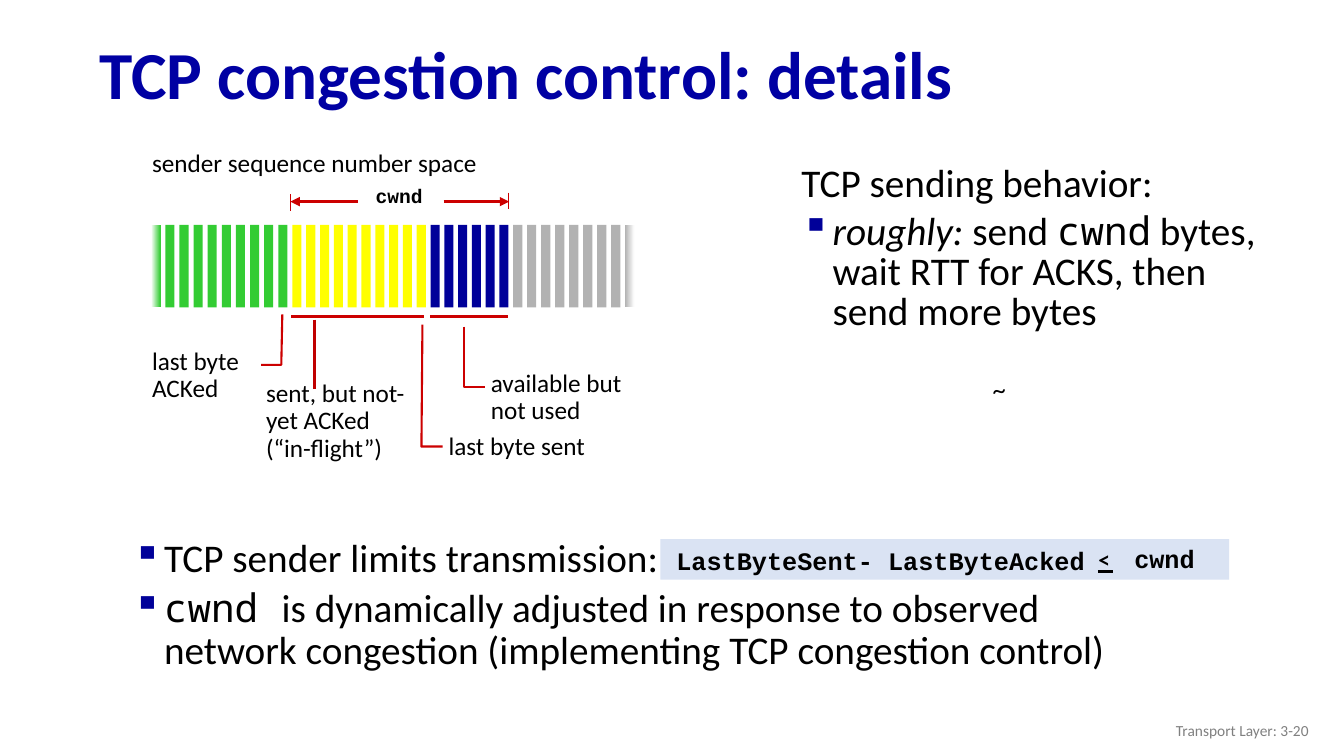
from lxml import etree
from pptx import Presentation
from pptx import util as u
from pptx.dml.color import RGBColor
from pptx.enum import shapes, text
from pptx.oxml.ns import qn

TITLE_BLUE = RGBColor(0x00, 0x00, 0xA3)
NAVY = RGBColor(0x00, 0x00, 0x99)
GREEN = RGBColor(0x33, 0xCC, 0x33)
YELLOW = RGBColor(0xFF, 0xFF, 0x00)
SILVER = RGBColor(0xB2, 0xB2, 0xB2)
PALE_BLUE = RGBColor(0xDA, 0xE3, 0xF3)
RED = RGBColor(0xCC, 0x00, 0x00)
DARK_RED = RGBColor(0xC0, 0x00, 0x00)
GRAY = RGBColor(0x80, 0x80, 0x80)
BLACK = RGBColor(0, 0, 0)
WHITE = RGBColor(0xFF, 0xFF, 0xFF)

SANS, CODE, MONO, LATO = "Calibri", "Courier New", "Noto Sans Mono", "Lato"
LEFT, CENTER, RIGHT = text.PP_ALIGN.LEFT, text.PP_ALIGN.CENTER, text.PP_ALIGN.RIGHT
MIDDLE = text.MSO_ANCHOR.MIDDLE

# Sequence number space: (first bar, number of bars, colour), ending at BARS_END
BAR_GROUPS = [(1.5, 10, GREEN), (2.9, 10, YELLOW), (4.27, 6, NAVY), (5.09, 9, SILVER)]
BARS_END = 6.34
BAR_TOP, BAR_W, BAR_H = 2.23, 0.09, 0.82

FORMULA_BAND = (6.55, 5.35, 5.64, 0.4)

# Bulleted blocks: box, line spacing, [(bulleted, [(text, font, italic)])]
BLOCKS = [
    ((1.22, 5.29, 10.53, 1.85), 0.9, [
        (True, [("TCP sender limits transmission:", SANS, False)]),
        (True, [("cwnd ", MONO, False),
                ("is dynamically adjusted in response to observed network congestion "
                 "(implementing TCP congestion control)", SANS, False)]),
    ]),
    ((7.85, 1.59, 5.02, 2.68), 0.85, [
        (False, [("TCP sending behavior:", SANS, False)]),
        (True, [("roughly:", SANS, True), (" send ", SANS, False), ("cwnd", MONO, False),
                (" bytes, wait RTT for ACKS, then send more bytes", SANS, False)]),
    ]),
]

# Labels: box, lines, size, font, options
LABELS = [
    ((0.89, 0.28, 12.44, 0.98), ["TCP congestion control: details"], 48, SANS,
     dict(color=TITLE_BLUE, bold=True, spacing=0.9, anchor=MIDDLE)),
    ((1.41, 1.41, 3.52, 0.4), ["sender sequence number space"], 18, SANS, dict(wrap=False)),
    ((3.52, 1.8, 0.88, 0.38), ["cwnd"], 14, CODE,
     dict(bold=True, spacing=0.9, align=CENTER, wrap=False)),
    ((1.41, 3.41, 1.08, 0.65), ["last byte", "ACKed"], 18, SANS,
     dict(spacing=0.9, wrap=False)),
    ((2.54, 3.73, 1.82, 0.92), ["sent, but not-yet ACKed", "(“in-flight”)"], 18, SANS,
     dict(spacing=0.9)),
    ((4.35, 4.25, 1.75, 0.37), ["last byte sent"], 18, SANS, dict(spacing=0.9)),
    ((4.77, 3.63, 1.75, 0.65), ["available but not used"], 18, SANS, dict(spacing=0.9)),
    ((9.4, 3.66, 1.02, 0.4), ["~"], 18, LATO, dict(align=CENTER)),
    ((6.61, 5.41, 4.81, 0.37), ["LastByteSent- LastByteAcked"], 18, CODE,
     dict(bold=True, spacing=0.85)),
    ((10.76, 5.37, 0.38, 0.37), ["<"], 16, LATO, dict(bold=True, align=CENTER, wrap=False)),
    ((11.15, 5.34, 0.8, 0.4), ["cwnd"], 18, CODE, dict(bold=True, align=CENTER, wrap=False)),
    ((10.08, 7.05, 3, 0.4), ["Transport Layer: 3-20"], 11, SANS,
     dict(color=GRAY, align=RIGHT, anchor=MIDDLE)),
]

# Lines: from, to, colour, width, arrow
LINES = [
    ((4.4, 2), (5.05, 2), RED, 2.25, True),
    ((5.04, 1.91), (5.04, 2.07), RED, 0.75, False),
    ((3.55, 2), (2.88, 2), RED, 2.25, True),
    ((2.88, 2.09), (2.88, 1.92), RED, 0.75, False),
    ((2.89, 3.14), (4.21, 3.14), RED, 2.25, False),
    ((4.27, 3.14), (5.04, 3.14), RED, 2.25, False),
    ((3.12, 3.17), (3.12, 3.86), DARK_RED, 1.5, False),
    ((10.89, 5.67), (11.04, 5.67), BLACK, 1.5, False),
]

ELBOWS = [
    [(2.8, 3.12), (2.79, 3.62), (2.59, 3.62)],
    [(4.19, 3.22), (4.18, 4.43), (4.39, 4.43)],
    [(4.6, 3.24), (4.6, 3.84), (4.81, 3.84)],
]


def inches(values):
    return [u.Inches(v) for v in values]


def add_bar(s, box, color, fade=None):
    """Borderless rectangle; fade gives the two colours of a left-to-right gradient."""
    sp = s.shapes.add_shape(shapes.MSO_SHAPE.RECTANGLE, *inches(box))
    sp.shadow.inherit = False
    sp.line.fill.background()
    if fade:
        sp.fill.gradient()
        sp.fill.gradient_angle = 0
        for stop, stop_color in zip(sp.fill.gradient_stops, fade):
            stop.color.rgb = stop_color
    else:
        sp.fill.solid()
        sp.fill.fore_color.rgb = color


def add_sequence_space(s):
    ends = [start for start, _, _ in BAR_GROUPS[1:]] + [BARS_END]
    for (start, count, color), end in zip(BAR_GROUPS, ends):
        pitch = (end - start) / count
        for i in range(count):
            fade = None
            if color == GREEN and i == 0:
                fade = (WHITE, color)
            elif color == SILVER and i == count - 1:
                fade = (color, WHITE)
            add_bar(s, (start + i * pitch, BAR_TOP, BAR_W, BAR_H), color, fade)


def add_line(s, start, end, color, width, arrow):
    cn = s.shapes.add_connector(shapes.MSO_CONNECTOR.STRAIGHT, *inches(start + end))
    cn.line.color.rgb = color
    cn.line.width = u.Pt(width)
    if arrow:
        etree.SubElement(cn.line._get_or_add_ln(), qn("a:tailEnd"), type="triangle")
    etree.SubElement(cn._element.spPr, qn("a:effectLst"))


def add_elbow(s, points):
    first, *rest = [inches(point) for point in points]
    builder = s.shapes.build_freeform(*first)
    builder.add_line_segments(rest, close=False)
    sp = builder.convert_to_shape()
    sp.shadow.inherit = False
    sp.fill.background()
    sp.line.color.rgb = RED
    sp.line.width = u.Pt(1.5)


def add_run(p, words, size, font, color=BLACK, bold=False, italic=False):
    r = p.add_run()
    r.text = words
    r.font.size, r.font.name = u.Pt(size), font
    r.font.bold, r.font.italic = bold, italic
    r.font.color.rgb = color


def text_frame(s, box, wrap=True, anchor=text.MSO_ANCHOR.TOP):
    tf = s.shapes.add_textbox(*inches(box)).text_frame
    tf.word_wrap = wrap
    tf.vertical_anchor = anchor
    return tf


def paragraphs(tf, items):
    for i, item in enumerate(items):
        yield (tf.add_paragraph() if i else tf.paragraphs[0]), item


def add_label(s, box, lines, size, font, color=BLACK, bold=False, spacing=1.0,
              align=LEFT, wrap=True, anchor=text.MSO_ANCHOR.TOP):
    for p, line in paragraphs(text_frame(s, box, wrap, anchor), lines):
        p.alignment, p.line_spacing = align, spacing
        add_run(p, line, size, font, color, bold)


def add_block(s, box, spacing, items):
    for i, (p, (bulleted, runs)) in enumerate(paragraphs(text_frame(s, box), items)):
        p.line_spacing = spacing
        if i:
            p.space_before = u.Pt(5.6)
        pPr = p._p.get_or_add_pPr()
        pPr.set("marL", str(u.Inches(0.31)))
        pPr.set("indent", str(u.Inches(-0.31)))
        if bulleted:
            bu = etree.SubElement(pPr, qn("a:buClr"))
            etree.SubElement(bu, qn("a:srgbClr"), val=str(NAVY))
            etree.SubElement(pPr, qn("a:buChar"), char="▪")
        for words, font, italic in runs:
            add_run(p, words, 28, font, italic=italic)


def main():
    prs = Presentation()
    prs.slide_width, prs.slide_height = u.Inches(13.33), u.Inches(7.5)
    s = prs.slides.add_slide(prs.slide_layouts[6])
    add_bar(s, FORMULA_BAND, PALE_BLUE)
    add_sequence_space(s)
    for block in BLOCKS:
        add_block(s, *block)
    for box, lines, size, font, options in LABELS:
        add_label(s, box, lines, size, font, **options)
    for line in LINES:
        add_line(s, *line)
    for points in ELBOWS:
        add_elbow(s, points)
    prs.save("out.pptx")


if __name__ == "__main__":
    main()
